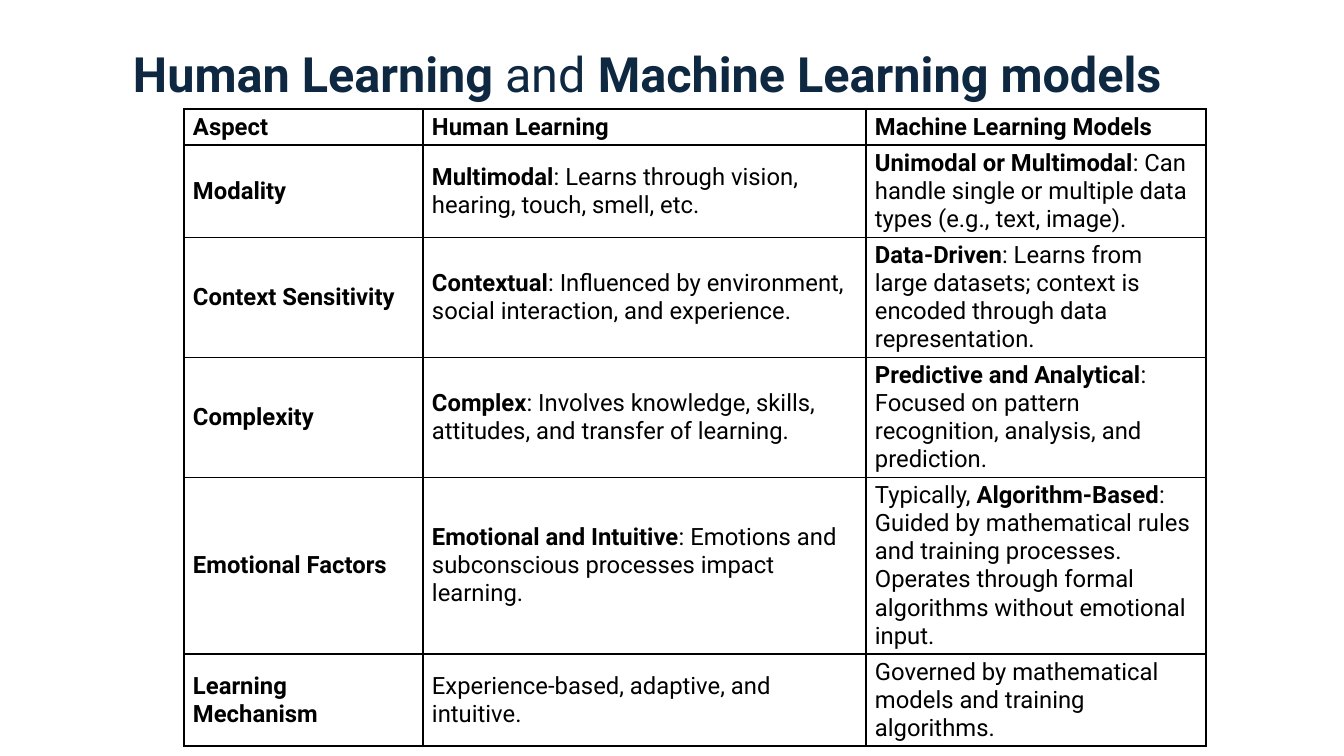
import pptx
import pptx.dml.color
import pptx.enum.text
import pptx.oxml
import pptx.oxml.ns
import pptx.util

ANCHOR = pptx.enum.text.MSO_ANCHOR
NAVY, BLACK, WHITE = "0E2841", "000000", "FFFFFF"

# Text between ** marks is bold
TITLE = "**Human Learning** and **Machine Learning models**"
COLUMNS = [239, 443, 340]
ROWS = [35, 89, 89, 89, 116, 62]
COMPARISON = [
    ["**Aspect**", "**Human Learning**", "**Machine Learning Models**"],
    ["**Modality**",
     "**Multimodal**: Learns through vision, hearing, touch, smell, etc.",
     "**Unimodal or Multimodal**: Can handle single or multiple data types (e.g., text, image)."],
    ["**Context Sensitivity**",
     "**Contextual**: Influenced by environment, social interaction, and experience.",
     "**Data-Driven**: Learns from large datasets; context is encoded through data representation."],
    ["**Complexity**",
     "**Complex**: Involves knowledge, skills, attitudes, and transfer of learning.",
     "**Predictive and Analytical**: Focused on pattern recognition, analysis, and prediction."],
    ["**Emotional Factors**",
     "**Emotional and Intuitive**: Emotions and subconscious processes impact learning.",
     "Typically, **Algorithm-Based**: Guided by mathematical rules and training processes. "
     "Operates through formal algorithms without emotional input."],
    ["**Learning Mechanism**",
     "Experience-based, adaptive, and intuitive.",
     "Governed by mathematical models and training algorithms."],
]


def px(length):
    return pptx.util.Emu(round(length * 914400 / 100.8))


def color(code):
    return pptx.dml.color.RGBColor.from_string(code)


def assign(target, values):
    for name, value in values.items():
        setattr(target, name, value)


class SlideBuilder:
    font = "Roboto"

    def __init__(self, page):
        self.page = page

    def add_spans(self, para, text, size, ink):
        for index, piece in enumerate(text.split("**")):
            if piece:
                span = para.add_run()
                span.text = piece
                assign(span.font, {"name": self.font, "size": pptx.util.Pt(size),
                                   "bold": index % 2 == 1})
                span.font.color.rgb = color(ink)

    def title(self, text, left, top, width, height):
        box = self.page.shapes.title
        assign(box, {"left": px(left), "top": px(top),
                     "width": px(width), "height": px(height)})
        frame = box.text_frame
        assign(frame, {"margin_left": px(10), "margin_right": px(10),
                       "margin_top": px(10), "margin_bottom": px(7),
                       "vertical_anchor": ANCHOR.BOTTOM, "word_wrap": True,
                       "auto_size": pptx.enum.text.MSO_AUTO_SIZE.NONE})
        para = frame.paragraphs[0]
        assign(para, {"alignment": pptx.enum.text.PP_ALIGN.LEFT, "line_spacing": 1.0,
                      "space_before": pptx.util.Pt(0)})
        self.add_spans(para, text, 34.7, NAVY)

    def table(self, rows, left, top, widths, heights):
        grid = self.page.shapes.add_table(len(heights), len(widths), px(left), px(top),
                                          px(sum(widths)), px(sum(heights))).table
        assign(grid, {"first_row": False, "horz_banding": False})
        for column, width in zip(grid.columns, widths):
            column.width = px(width)
        for row, height, texts in zip(grid.rows, heights, rows):
            row.height = px(height)
            for cell, text in zip(row.cells, texts):
                self.cell(cell, text)

    def cell(self, cell, text):
        assign(cell, {"margin_left": px(9), "margin_right": px(9), "margin_top": px(4),
                      "margin_bottom": px(4), "vertical_anchor": ANCHOR.MIDDLE})
        self.add_spans(cell.text_frame.paragraphs[0], text, 17, BLACK)
        # Borders come before the fill in the cell properties
        properties = cell._tc.get_or_add_tcPr()
        for side in ("lnL", "lnR", "lnT", "lnB"):
            properties.append(pptx.oxml.parse_xml(
                f'<a:{side} {pptx.oxml.ns.nsdecls("a")} w="12700"><a:solidFill>'
                f'<a:srgbClr val="{BLACK}"/></a:solidFill></a:{side}>'))
        cell.fill.solid()
        cell.fill.fore_color.rgb = color(WHITE)


def main():
    deck = pptx.Presentation()
    assign(deck, {"slide_width": px(1344), "slide_height": px(756)})
    page = deck.slides.add_slide(deck.slide_layouts.get_by_name("Title Only"))
    builder = SlideBuilder(page)

    # Heading
    builder.title(TITLE, 123, 30, 1060, 79)

    # Comparison table
    builder.table(COMPARISON, 184, 109, COLUMNS, ROWS)

    deck.save("out.pptx")


if __name__ == "__main__":
    main()
